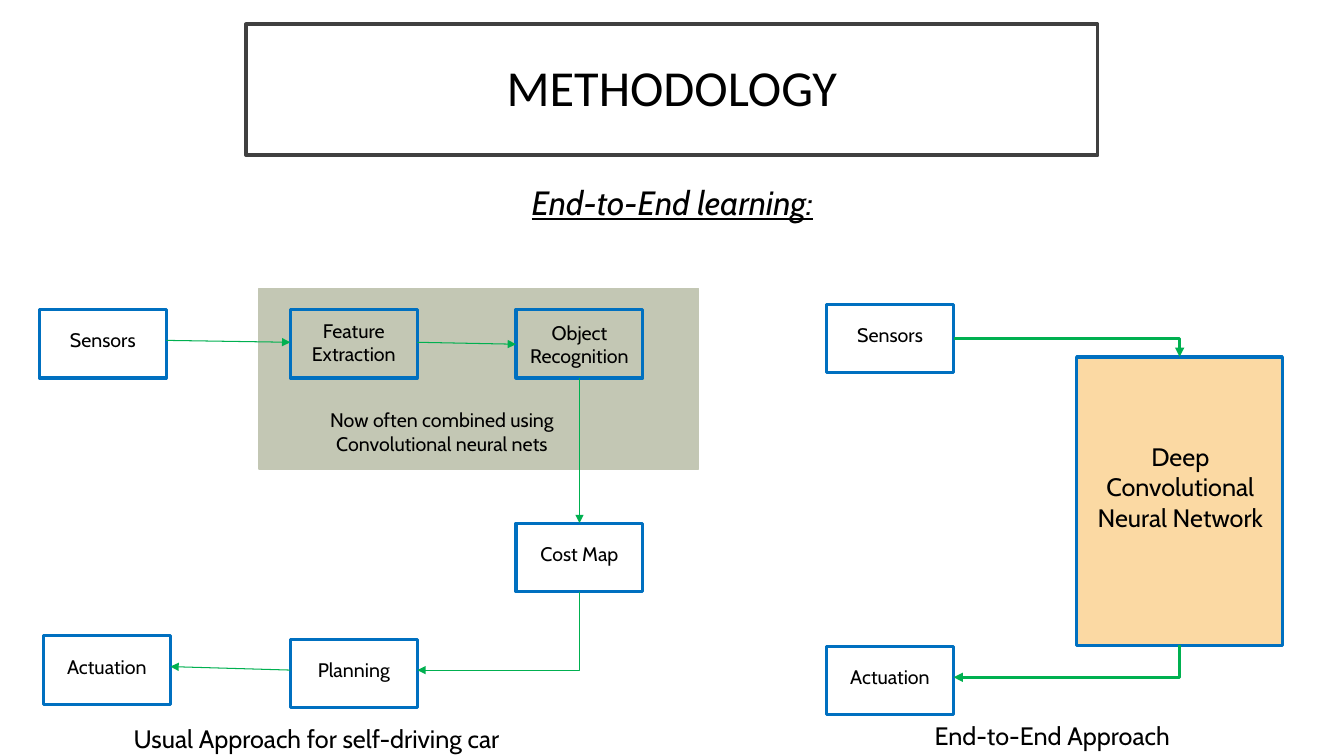
from dataclasses import dataclass
from typing import Optional

from lxml.etree import SubElement
from pptx import Presentation
from pptx.dml.color import RGBColor
from pptx.enum.shapes import MSO_CONNECTOR as Connector, MSO_SHAPE as Preset
from pptx.enum.text import MSO_ANCHOR as Anchor, MSO_AUTO_SIZE as AutoSize, PP_ALIGN as Align
from pptx.oxml.ns import qn
from pptx.util import Pt

TOP, LEFT, BOTTOM, RIGHT = range(4)
BOX_WIDTH, BOX_HEIGHT = 90.7, 49
ONE_LINE, TWO_LINES = 24.3, 41


@dataclass(frozen=True)
class Theme:
    title_font: str = "Calibri"
    text_font: str = "Cabin"
    title_size: float = 36
    subtitle_size: float = 24
    caption_size: float = 18
    label_size: float = 14
    text: RGBColor = RGBColor(0, 0, 0)
    paper: RGBColor = RGBColor(255, 255, 255)
    frame: RGBColor = RGBColor(0x40, 0x40, 0x40)
    panel: RGBColor = RGBColor(0xC3, 0xC7, 0xB4)
    network: RGBColor = RGBColor(0xFB, 0xD9, 0xA3)
    outline: RGBColor = RGBColor(0, 0x70, 0xC0)
    arrow: RGBColor = RGBColor(0, 0xB0, 0x50)


THEME = Theme()


@dataclass(frozen=True)
class Area:
    left: float
    top: float
    width: float = BOX_WIDTH
    height: float = BOX_HEIGHT

    def lengths(self) -> tuple:
        return Pt(self.left), Pt(self.top), Pt(self.width), Pt(self.height)


@dataclass(frozen=True)
class Node:
    name: str
    text: str
    area: Area
    label: Area
    size: float = THEME.label_size
    fill: Optional[RGBColor] = None


@dataclass(frozen=True)
class Note:
    text: str
    area: Area
    size: float
    emphasised: bool = False


@dataclass(frozen=True)
class StraightArrow:
    start: str
    start_part: int
    start_site: int
    end: str
    end_part: int
    end_site: int


@dataclass(frozen=True)
class BentArrow:
    start: tuple
    end: tuple
    weight: float
    down_first: bool


def box_node(name: str, text: str, left: float, top: float,
             offset: float = 10, height: float = ONE_LINE) -> Node:
    return Node(name, text, Area(left, top), Area(left, top + offset, BOX_WIDTH, height))


NODES = [
    box_node("sensors", "Sensors", 28.1, 221),
    box_node("feature", "Feature Extraction", 207.4, 221, 3, TWO_LINES),
    box_node("object", "Object Recognition", 368.6, 221, 4.4, TWO_LINES),
    box_node("cost", "Cost Map", 368.6, 373.7),
    box_node("planning", "Planning", 207.4, 456.5),
    box_node("actuation", "Actuation", 31, 454),
    box_node("direct sensors", "Sensors", 590.4, 217.4),
    Node("network", "Deep Convolutional Neural Network", Area(769, 255, 147, 206),
         Area(774, 311.8, 138.2, 72.7), THEME.caption_size, THEME.network),
    box_node("direct actuation", "Actuation", 590.4, 461.5),
]

NOTES = [
    Note("End-to-End learning:", Area(208.8, 126.7, 542.9, 36), THEME.subtitle_size, True),
    Note("Now often combined using Convolutional neural nets",
         Area(216.7, 288, 198, TWO_LINES), THEME.label_size),
    Note("Usual Approach for self-driving car", Area(60.5, 513.4, 331.2, 29), THEME.caption_size),
    Note("End-to-End Approach", Area(586, 511.2, 331.2, 29), THEME.caption_size),
]

BOX, LABEL = 0, 1
STRAIGHT_ARROWS = [
    StraightArrow("sensors", LABEL, RIGHT, "feature", LABEL, LEFT),
    StraightArrow("feature", LABEL, RIGHT, "object", LABEL, LEFT),
    StraightArrow("object", BOX, BOTTOM, "cost", BOX, TOP),
    StraightArrow("planning", LABEL, LEFT, "actuation", LABEL, RIGHT),
]
BENT_ARROWS = [
    BentArrow((414, 422.7), (298.1, 478.7), 0.75, True),
    BentArrow((681.1, 241.9), (842.6, 255), 2.25, False),
    BentArrow((842.6, 461), (681.1, 483.8), 2.25, True),
]


def add_rectangle(shapes, area: Area, fill: Optional[RGBColor], line: RGBColor, weight: float):
    shape = shapes.add_shape(Preset.RECTANGLE, *area.lengths())
    shape.shadow.inherit = False
    if fill is None:
        shape.fill.background()
    else:
        shape.fill.solid()
        shape.fill.fore_color.rgb = fill
    shape.line.color.rgb = line
    shape.line.width = Pt(weight)
    return shape


def style_paragraph(paragraph, font_name: str, size: float) -> None:
    paragraph.alignment = Align.CENTER
    paragraph.font.name = font_name
    paragraph.font.size = Pt(size)
    paragraph.font.color.rgb = THEME.text


def add_note(shapes, note: Note):
    shape = shapes.add_textbox(*note.area.lengths())
    frame = shape.text_frame
    frame.word_wrap = True
    frame.auto_size = AutoSize.SHAPE_TO_FIT_TEXT
    frame.text = note.text
    paragraph = frame.paragraphs[0]
    style_paragraph(paragraph, THEME.text_font, note.size)
    if note.emphasised:
        paragraph.font.italic = True
        paragraph.font.underline = True
    return shape


def add_node(shapes, node: Node) -> tuple:
    group = shapes.add_group_shape()
    box = add_rectangle(group.shapes, node.area, node.fill, THEME.outline, 2.25)
    return box, add_note(group.shapes, Note(node.text, node.label, node.size))


def style_arrow(connector, weight: float) -> None:
    connector.line.color.rgb = THEME.arrow
    connector.line.width = Pt(weight)
    properties = connector.element.spPr
    SubElement(properties.find(qn("a:ln")), qn("a:tailEnd"), type="triangle")
    SubElement(properties, qn("a:effectLst"))


def add_straight_arrow(shapes, arrow: StraightArrow, nodes: dict) -> None:
    connector = shapes.add_connector(Connector.STRAIGHT, 0, 0, 0, 0)
    connector.begin_connect(nodes[arrow.start][arrow.start_part], arrow.start_site)
    connector.end_connect(nodes[arrow.end][arrow.end_part], arrow.end_site)
    style_arrow(connector, 0.75)


def add_bent_arrow(shapes, arrow: BentArrow) -> None:
    (start_x, start_y), (end_x, end_y) = arrow.start, arrow.end
    width, height = abs(end_x - start_x), abs(end_y - start_y)
    if arrow.down_first:
        width, height = height, width
    left = (start_x + end_x - width) / 2
    top = (start_y + end_y - height) / 2
    connector = shapes.add_connector(
        Connector.ELBOW, Pt(left), Pt(top), Pt(left + width), Pt(top + height))
    properties = connector.element.spPr
    properties.find(qn("a:prstGeom")).set("prst", "bentConnector2")
    if arrow.down_first:
        properties.find(qn("a:xfrm")).set("rot", str(90 * 60000))
    style_arrow(connector, arrow.weight)


def format_title(title) -> None:
    title.left, title.top, title.width, title.height = Area(175.7, 17.3, 608.4, 93.6).lengths()
    title.fill.solid()
    title.fill.fore_color.rgb = THEME.paper
    title.line.color.rgb = THEME.frame
    title.line.width = Pt(2.5)
    title.text_frame.text = "METHODOLOGY"
    title.text_frame.vertical_anchor = Anchor.MIDDLE
    paragraph = title.text_frame.paragraphs[0]
    paragraph.line_spacing = 0.9
    style_paragraph(paragraph, THEME.title_font, THEME.title_size)


def main() -> None:
    presentation = Presentation()
    presentation.slide_width, presentation.slide_height = Pt(960), Pt(540)
    slide = presentation.slides.add_slide(presentation.slide_layouts[5])
    shapes = slide.shapes
    format_title(shapes.title)
    add_rectangle(shapes, Area(185, 206, 314, 129), THEME.panel, THEME.panel, 1)
    nodes = {node.name: add_node(shapes, node) for node in NODES}
    for straight_arrow in STRAIGHT_ARROWS:
        add_straight_arrow(shapes, straight_arrow, nodes)
    for bent_arrow in BENT_ARROWS:
        add_bent_arrow(shapes, bent_arrow)
    for note in NOTES:
        add_note(shapes, note)
    presentation.save("out.pptx")


if __name__ == "__main__":
    main()
